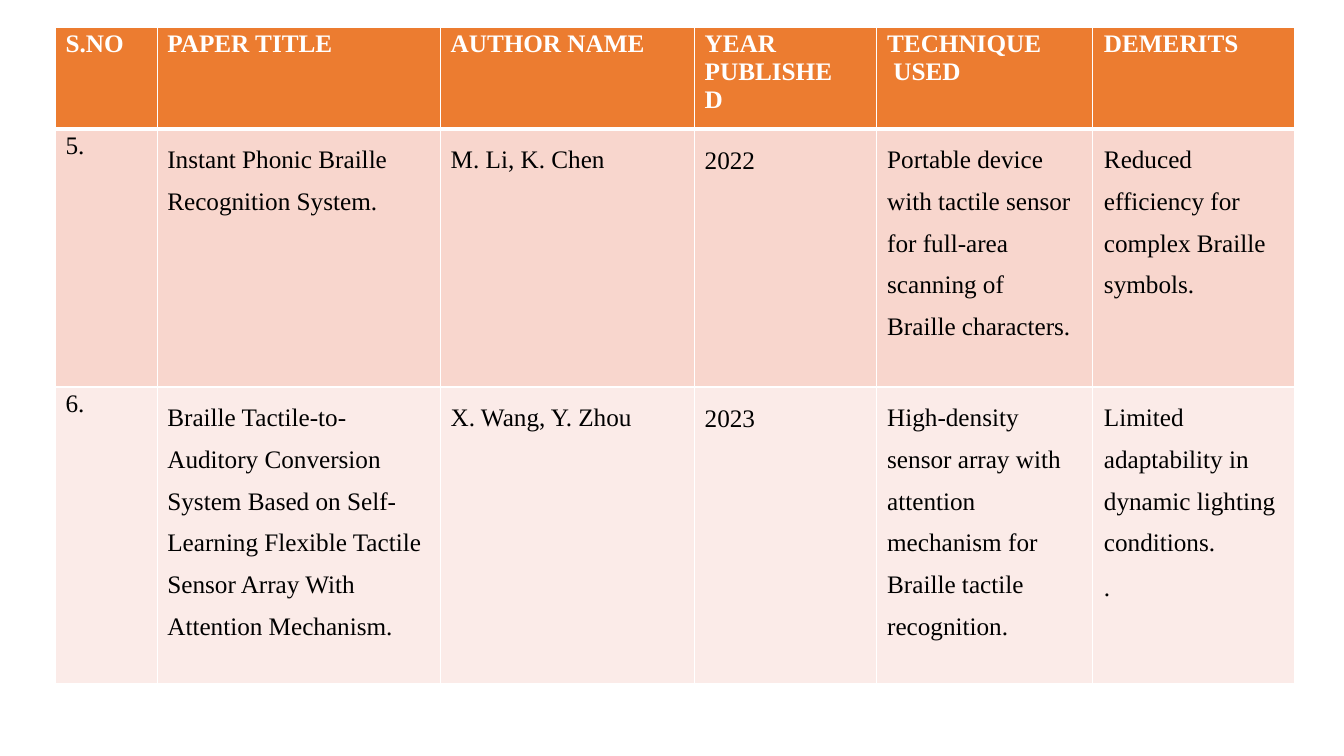
from pptx import Presentation
from pptx import util as u
from pptx.dml.color import RGBColor
from pptx.oxml.ns import qn
from lxml import etree

HEADS = ["S.NO", "PAPER TITLE", "AUTHOR NAME", "YEAR PUBLISHED",
         "TECHNIQUE\v USED", "DEMERITS"]
PAPERS = [
    ["5.", "Instant Phonic Braille Recognition System.", "M. Li, K. Chen", "2022",
     "Portable device with tactile sensor for full-area scanning of Braille characters.",
     "Reduced efficiency for complex Braille symbols."],
    ["6.", "Braille Tactile-to-Auditory Conversion System Based on Self-Learning "
     "Flexible Tactile Sensor Array With Attention Mechanism.",
     "X. Wang, Y. Zhou", "2023",
     "High-density sensor array with attention mechanism for Braille tactile recognition.",
     "Limited adaptability in dynamic lighting conditions.\n."],
]
WIDTHS = [1.01, 2.81, 2.52, 1.8, 2.15, 2]
HEIGHTS = [1.01, 2.56, 2.94]
FILLS = ["EC7C30", "F8D6CD", "FBEBE8"]
YEAR = 3


def color(code):
    return RGBColor.from_string(code)


def edge(cell, side, width):
    """Draw one white border; call before the cell is filled."""
    line = etree.SubElement(cell._tc.get_or_add_tcPr(), qn("a:ln" + side),
                            w=str(u.Pt(width)))
    fill = etree.SubElement(line, qn("a:solidFill"))
    etree.SubElement(fill, qn("a:srgbClr"), val="FFFFFF")


def style(cell, words, row, col):
    head = row == 0
    # Borders: a thick rule parts the header from the body
    for side in "LRTB":
        thick = (row, side) in ((0, "B"), (1, "T"))
        edge(cell, side, 3 if thick else 1)
    cell.fill.solid()
    cell.fill.fore_color.rgb = color(FILLS[row])

    # Insets
    cell.margin_left = u.Inches(0.1 if col <= YEAR else 0.11)
    cell.margin_right = u.Inches(0.35 if col == YEAR else 0.15)
    cell.margin_top = u.Inches(0.04 if col == YEAR and not head else 0.03)
    cell.margin_bottom = 0

    # Text
    cell.text = words
    for para in cell.text_frame.paragraphs:
        para.line_spacing = 1.0 if head or col == 0 else 1.5
        para.space_before = u.Pt(3 if col == YEAR and not head else 2.2)
        font = para.font
        font.name, font.size, font.bold = "Times New Roman", u.Pt(18), head
        font.color.rgb = color("FFFFFF" if head else "000000")


def survey(slide, left, top):
    """Place the table of papers with its corner at left, top."""
    rows = [HEADS] + PAPERS
    grid = slide.shapes.add_table(
        len(rows), len(HEADS), u.Inches(left), u.Inches(top),
        u.Inches(sum(WIDTHS)), u.Inches(sum(HEIGHTS))).table
    for col, width in zip(grid.columns, WIDTHS):
        col.width = u.Inches(width)
    for row, height in zip(grid.rows, HEIGHTS):
        row.height = u.Inches(height)
    for r, row in enumerate(rows):
        for c, words in enumerate(row):
            style(grid.cell(r, c), words, r, c)


def main():
    deck = Presentation()
    deck.slide_width, deck.slide_height = u.Inches(13.33), u.Inches(7.5)
    slide = deck.slides.add_slide(deck.slide_layouts[6])
    survey(slide, 0.55, 0.27)
    deck.save("out.pptx")


if __name__ == "__main__":
    main()
